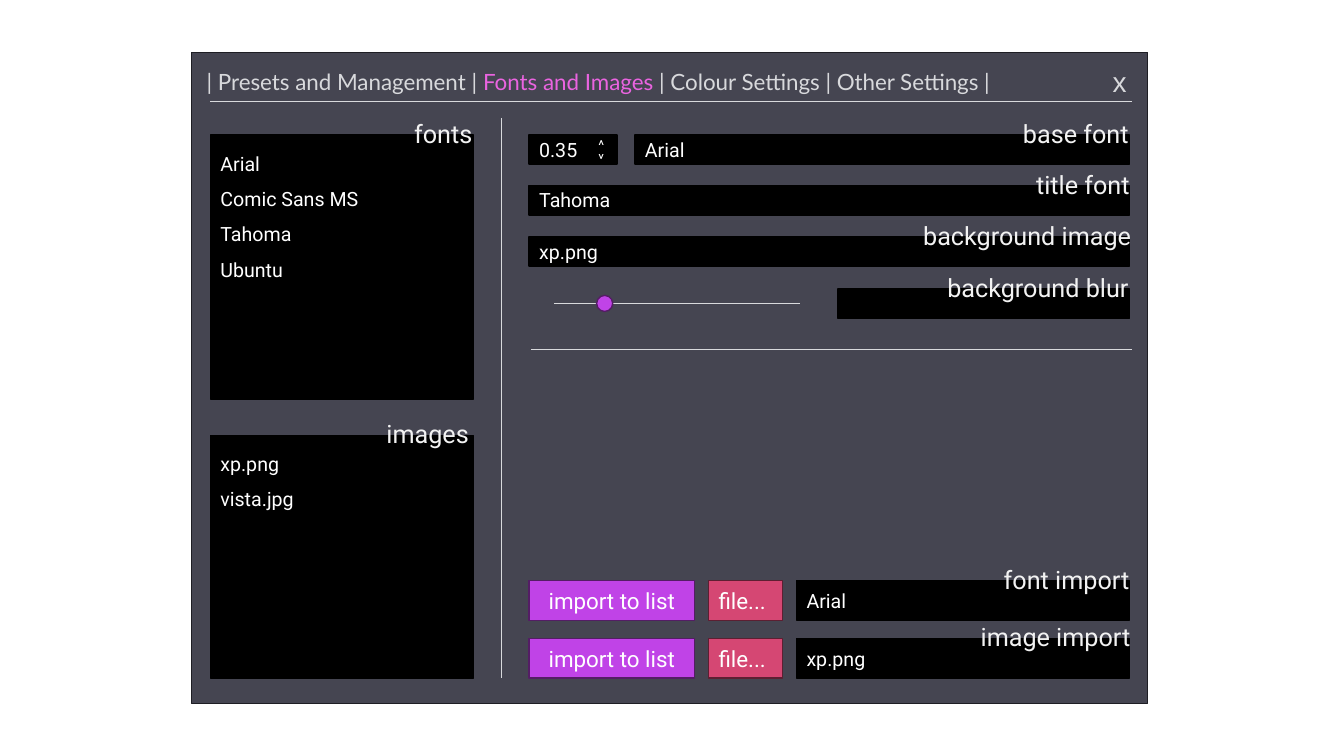
from dataclasses import dataclass

from lxml import etree
from pptx import Presentation
from pptx.dml.color import RGBColor
from pptx.enum.shapes import MSO_CONNECTOR, MSO_SHAPE
from pptx.enum.text import MSO_ANCHOR, MSO_AUTO_SIZE, PP_ALIGN
from pptx.oxml.ns import qn
from pptx.shapes.autoshape import Shape
from pptx.slide import Slide
from pptx.text.text import TextFrame
from pptx.util import Pt

RECT, OVAL = MSO_SHAPE.RECTANGLE, MSO_SHAPE.OVAL
TOP, MIDDLE = MSO_ANCHOR.TOP, MSO_ANCHOR.MIDDLE
LEFT, CENTER, RIGHT = PP_ALIGN.LEFT, PP_ALIGN.CENTER, PP_ALIGN.RIGHT
GROW, FIXED = MSO_AUTO_SIZE.SHAPE_TO_FIT_TEXT, MSO_AUTO_SIZE.NONE
STRAIGHT = MSO_CONNECTOR.STRAIGHT

SLATE = RGBColor(0x45, 0x45, 0x51)
INK = RGBColor(0x1E, 0x1E, 0x24)
SILVER = RGBColor(0xD8, 0xD9, 0xDC)
PINK = RGBColor(0xEA, 0x64, 0xE0)
BLACK = RGBColor(0, 0, 0)
WHITE = RGBColor(0xFF, 0xFF, 0xFF)
PALE = RGBColor(0xF2, 0xF2, 0xF2)
PURPLE = RGBColor(0xC0, 0x43, 0xE7)
PLUM = RGBColor(0x54, 0x1D, 0x65)
ROSE = RGBColor(0xD5, 0x47, 0x73)
WINE = RGBColor(0x5D, 0x1F, 0x32)

PANEL_X, PANEL_W = 150.3, 187.9
FORM_X, FORM_END = 378, 806.8
RULE_END = 808.6
FIELD_H, IMPORT_H = 20.9, 28.4
LABEL_RISE, LABEL_H = 15.4, 28.8
FIRST_Y = 96.5


@dataclass(frozen=True)
class Box:
    x: float
    y: float
    w: float
    h: float


@dataclass(frozen=True)
class Label:
    text: str
    x: float
    w: float
    align: PP_ALIGN = LEFT


@dataclass(frozen=True)
class Panel:
    label: Label
    y: float
    h: float
    items: tuple[str, ...]


@dataclass(frozen=True)
class Field:
    label: Label
    x: float
    y: float
    text: str


@dataclass(frozen=True)
class Import:
    label: Label
    y: float
    text: str


PANELS = (
    Panel(Label("fonts", 288.7, 75.6), FIRST_Y, 188.6,
          ("Arial", "Comic Sans MS", "Tahoma", "Ubuntu")),
    Panel(Label("images", 259.2, 82.8, RIGHT), 311, 173.5,
          ("xp.png", "vista.jpg")),
)
FIELDS = (
    Field(Label("base font", 723.6, 104.4), 453.6, FIRST_Y, "Arial"),
    Field(Label("title font", 733, 91.4), FORM_X, 132.5, "Tahoma"),
    Field(Label("background image", 652.3, 173.5), FORM_X, 169.2, "xp.png"),
    Field(Label("background blur", 669.6, 172.8), 598.8, 206.6, ""),
)
IMPORTS = (
    Import(Label("font import", 709.9, 153.4), 414.7, "Arial"),
    Import(Label("image import", 693.4, 153.4), 456, "xp.png"),
)
RULES = (
    (PANEL_X, 72.7, RULE_END, 72.7),
    (357.8, 84.2, 357.8, 484.6),
    (379.4, 249.8, RULE_END, 249.8),
    (396, 216.7, 571.7, 216.7),
)
TABS = (
    ("| Presets and Management | ", SILVER),
    ("Fonts and Images ", PINK),
    ("| Colour Settings | Other Settings |", SILVER),
)


def style(frame: TextFrame, size: float, color: RGBColor, align: PP_ALIGN,
          font: str = "Roboto", space: float = 1) -> None:
    for para in frame.paragraphs:
        para.alignment = align
        para.line_spacing = space
        for run in para.runs:
            run.font.name = font
            run.font.size = Pt(size)
            run.font.color.rgb = color


def add_box(slide: Slide, box: Box, fill: RGBColor = BLACK,
            edge: RGBColor = BLACK, width: float = 1.25, text: str = "",
            size: float = 14, align: PP_ALIGN = LEFT,
            anchor: MSO_ANCHOR = MIDDLE, space: float = 1,
            kind: MSO_SHAPE = RECT) -> Shape:
    shape = slide.shapes.add_shape(
        kind, Pt(box.x), Pt(box.y), Pt(box.w), Pt(box.h))
    shape.shadow.inherit = False
    shape.fill.solid()
    shape.fill.fore_color.rgb = fill
    shape.line.color.rgb = edge
    shape.line.width = Pt(width)
    if text:
        frame = shape.text_frame
        frame.text = text
        frame.vertical_anchor = anchor
        style(frame, size, WHITE, align, space=space)
    return shape


def add_text(slide: Slide, box: Box, text: str, size: float, color: RGBColor,
             align: PP_ALIGN = LEFT, font: str = "Roboto") -> None:
    frame = slide.shapes.add_textbox(
        Pt(box.x), Pt(box.y), Pt(box.w), Pt(box.h)).text_frame
    frame.word_wrap = True
    frame.auto_size = GROW
    frame.text = text
    style(frame, size, color, align, font)


def add_label(slide: Slide, label: Label, y: float) -> None:
    """Set a caption across the top edge of the box that starts at y."""
    box = Box(label.x, y - LABEL_RISE, label.w, LABEL_H)
    add_text(slide, box, label.text, 18, PALE, label.align)


def add_rule(slide: Slide, x1: float, y1: float, x2: float, y2: float) -> None:
    rule = slide.shapes.add_connector(STRAIGHT, Pt(x1), Pt(y1), Pt(x2), Pt(y2))
    rule.line.color.rgb = SILVER
    rule.line.width = Pt(0.5)
    etree.SubElement(rule._element.spPr, qn("a:effectLst"))


def add_tabs(slide: Slide) -> None:
    title = slide.shapes.title
    title.left, title.top = Pt(140.4), Pt(45.4)
    title.width, title.height = Pt(640.8), Pt(26.6)
    frame = title.text_frame
    frame.word_wrap = True
    frame.auto_size = FIXED
    frame.vertical_anchor = TOP
    para = frame.paragraphs[0]
    for text, _ in TABS:
        para.add_run().text = text
    style(frame, 16, SILVER, LEFT, "Lato")
    for run, (_, color) in zip(para.runs, TABS):
        run.font.color.rgb = color
    slide.shapes._spTree.append(title._element)


def add_spinner(slide: Slide) -> None:
    add_box(slide, Box(FORM_X, FIRST_Y, 62.6, FIELD_H), text="0.35")
    for step, turn in enumerate((0, 180)):
        arrow = add_box(slide, Box(419, FIRST_Y + 10.8 * step, 20.9, 10.1),
                        text="^", size=10, align=CENTER, anchor=TOP)
        arrow.rotation = turn
        frame = arrow.text_frame
        frame.margin_left = frame.margin_right = frame.margin_bottom = Pt(0)
        frame.margin_top = Pt(1)


def main() -> None:
    deck = Presentation()
    deck.slide_width, deck.slide_height = Pt(960), Pt(540)
    slide = deck.slides.add_slide(deck.slide_layouts[5])

    add_box(slide, Box(136.6, 37.4, 683.3, 465.1), SLATE, INK, 1)
    add_tabs(slide)
    add_text(slide, Box(787.7, 42.5, 21.6, 31.7), "x", 20, SILVER, font="Arial")
    for ends in RULES:
        add_rule(slide, *ends)
    for panel in PANELS:
        add_box(slide, Box(PANEL_X, panel.y, PANEL_W, panel.h),
                text="\n".join(panel.items), anchor=TOP, space=1.5)
        add_label(slide, panel.label, panel.y)
    for field in FIELDS:
        add_box(slide, Box(field.x, field.y, FORM_END - field.x, FIELD_H),
                text=field.text)
        add_label(slide, field.label, field.y)
    add_spinner(slide)
    for row in IMPORTS:
        add_box(slide, Box(FORM_X, row.y, 118.1, IMPORT_H), PURPLE, PLUM, 1,
                "import to list", 16, CENTER)
        add_box(slide, Box(506.2, row.y, 52.6, IMPORT_H), ROSE, WINE, 1,
                "file...", 16)
        add_box(slide, Box(569, row.y, FORM_END - 569, IMPORT_H),
                text=row.text)
        add_label(slide, row.label, row.y)
    add_box(slide, Box(426.2, 211, 11.5, 11.5), PURPLE, PLUM, 1, kind=OVAL)
    deck.save("out.pptx")


if __name__ == "__main__":
    main()
